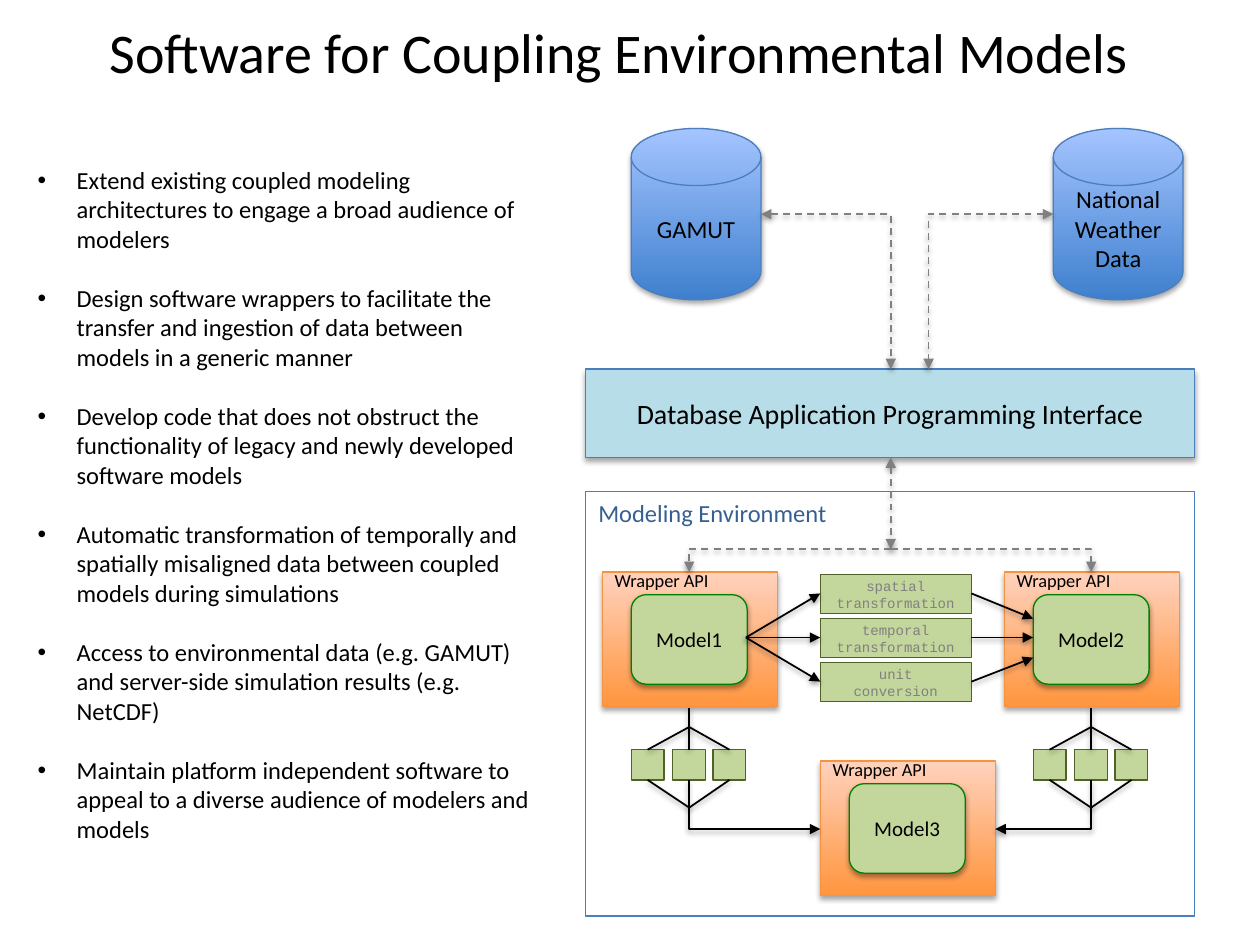
import pptx
import pptx.util
import pptx.dml.color
import pptx.enum.dml
import pptx.enum.shapes
import pptx.enum.text
import pptx.oxml.ns
from lxml import etree

Inches, Pt = pptx.util.Inches, pptx.util.Pt
SHAPE = pptx.enum.shapes.MSO_SHAPE
CONNECTOR = pptx.enum.shapes.MSO_CONNECTOR
ALIGN = pptx.enum.text.PP_ALIGN
ANCHOR = pptx.enum.text.MSO_ANCHOR
qn = pptx.oxml.ns.qn

COLORS = {
    "black": "000000", "gray": "808080", "navy": "376092", "blue": "4B7EBC",
    "sky": "B7DEE8", "green": "C3D69B", "green_line": "008000", "olive": "4F6228",
    "orange": "FF953E", "peach": "FFD2BD", "orange_line": "F69240",
    "disk_dark": "3F80CE", "disk_light": "A4C4FF",
}
BULLETS = [
    "Extend existing coupled modeling architectures to engage a broad audience of modelers",
    "Design software wrappers to facilitate the transfer and ingestion of data between "
    "models in a generic manner",
    "Develop code that does not obstruct the functionality of legacy and newly developed "
    "software models",
    "Automatic transformation of temporally and spatially misaligned data between coupled "
    "models during simulations",
    "Access to environmental data (e.g. GAMUT) and server-side simulation results (e.g. NetCDF)",
    "Maintain platform independent software to appeal to a diverse audience of modelers and models",
]


def rgb(name):
    return pptx.dml.color.RGBColor.from_string(COLORS[name])


def write_text(frame, text, size=14, color="black", font="Calibri", align=ALIGN.CENTER,
               anchor=ANCHOR.MIDDLE, spacing=None, gap=0, bullet=None):
    """Fill a text frame, one paragraph for each line of text."""
    frame.word_wrap = True
    frame.vertical_anchor = anchor
    for index, line in enumerate(text.split("\n")):
        para = frame.paragraphs[0] if index == 0 else frame.add_paragraph()
        para.alignment = align
        if spacing:
            para.line_spacing = spacing
        if gap and index:
            para.space_before = Pt(gap)
        if bullet:
            props = para._p.get_or_add_pPr()
            props.set("marL", str(Inches(0.31)))
            props.set("indent", str(-Inches(0.31)))
            etree.SubElement(props, qn("a:buFont"), typeface="Arial")
            etree.SubElement(props, qn("a:buChar"), char=bullet)
        span = para.add_run()
        span.text = line
        span.font.name = font
        span.font.size = Pt(size)
        span.font.color.rgb = rgb(color)


def add_shadow(effects, distance, opacity):
    """Put a soft black shadow, falling straight down, in an effect list."""
    shadow = etree.SubElement(effects, qn("a:outerShdw"), blurRad=str(Pt(3.1)),
                              dist=str(Pt(distance)), dir="5400000", rotWithShape="0")
    black = etree.SubElement(shadow, qn("a:srgbClr"), val=COLORS["black"])
    etree.SubElement(black, qn("a:alpha"), val=str(opacity * 1000))


class Diagram:
    def __init__(self, slide):
        self.slide = slide

    def text(self, left, top, width, height, text, **style):
        box = self.slide.shapes.add_textbox(
            Inches(left), Inches(top), Inches(width), Inches(height))
        write_text(box.text_frame, text, anchor=ANCHOR.TOP, **style)

    def shape(self, kind, left, top, width, height, fill=None, line="blue",
              shadow=True, text=None, **style):
        """Draw a preset shape; fill is a colour, a (bottom, top) pair or None."""
        shape = self.slide.shapes.add_shape(
            kind, Inches(left), Inches(top), Inches(width), Inches(height))
        if fill is None:
            shape.fill.background()
        elif isinstance(fill, tuple):
            shape.fill.gradient()
            shape.fill.gradient_angle = 90
            for stop, name in zip(shape.fill.gradient_stops, fill):
                stop.color.rgb = rgb(name)
        else:
            shape.fill.solid()
            shape.fill.fore_color.rgb = rgb(fill)
        shape.line.color.rgb = rgb(line)
        shape.line.width = Pt(0.75)
        shape.shadow.inherit = False
        if shadow:
            add_shadow(shape._element.spPr.find(qn("a:effectLst")), 1.8, 35)
        if text:
            write_text(shape.text_frame, text, **style)

    def connector(self, start, end, color="black", dash=False, head=False, tail=False,
                  bent=False):
        """Draw a line; a bent one runs across first and then up or down."""
        kind = CONNECTOR.ELBOW if bent else CONNECTOR.STRAIGHT
        line = self.slide.shapes.add_connector(
            kind, *(Inches(value) for value in (*start, *end)))
        props = line._element.spPr
        if bent:
            props.find(qn("a:prstGeom")).set("prst", "bentConnector2")
        line.line.color.rgb = rgb(color)
        line.line.width = Pt(1)
        if dash:
            line.line.dash_style = pptx.enum.dml.MSO_LINE.DASH
        for tag, wanted in (("a:headEnd", head), ("a:tailEnd", tail)):
            if wanted:
                etree.SubElement(props.find(qn("a:ln")), qn(tag), type="triangle")
        add_shadow(etree.SubElement(props, qn("a:effectLst")), 1.6, 38)

    def model(self, name, left, top):
        """Draw a model inside its wrapper."""
        self.shape(SHAPE.RECTANGLE, left, top, 1.39, 1.07, ("orange", "peach"), "orange_line",
                   text="Wrapper API", size=10.5, align=ALIGN.LEFT, anchor=ANCHOR.TOP,
                   spacing=0.5)
        self.shape(SHAPE.ROUNDED_RECTANGLE, left + 0.23, top + 0.18, 0.92, 0.71, "green",
                   "green_line", text=name, size=12)

    def process(self, left, top, width, height, text=None):
        self.shape(SHAPE.FLOWCHART_PROCESS, left, top, width, height, "green", "olive",
                   shadow=False, text=text, size=8, color="gray", font="Courier New")

    def fan(self, center, target):
        """Draw three parallel steps below a wrapper, joined into one arrow to target."""
        for offset in (-0.33, 0, 0.32):
            middle = center + offset
            self.process(middle - 0.13, 5.95, 0.26, 0.24)
            self.connector((center, 5.77 if offset else 5.62), (middle, 5.95))
            if offset:
                self.connector((middle, 6.19), (center, 6.41))
        self.connector((target, 6.58), (center, 6.19), head=True, bent=True)


def main():
    deck = pptx.Presentation()
    deck.slide_width, deck.slide_height = Inches(10), Inches(7.5)
    diagram = Diagram(deck.slides.add_slide(deck.slide_layouts[6]))

    diagram.text(0, 0.09, 9.83, 0.64, "Software for Coupling Environmental Models", size=32)
    diagram.text(0.2, 1.26, 4.15, 5.52, "\n".join(BULLETS), align=ALIGN.LEFT, gap=17, bullet="•")

    for left, text in ((5.01, "GAMUT"), (8.36, "National Weather\nData")):
        diagram.shape(SHAPE.FLOWCHART_MAGNETIC_DISK, left, 1.02, 1.03, 1.36,
                      ("disk_dark", "disk_light"), text=text)
    diagram.shape(SHAPE.RECTANGLE, 4.65, 2.93, 4.83, 0.7, "sky", size=16,
                  text="Database Application Programming Interface")
    diagram.shape(SHAPE.RECTANGLE, 4.65, 3.9, 4.83, 3.37, shadow=False,
                  text="Modeling Environment", color="navy", align=ALIGN.LEFT, anchor=ANCHOR.TOP)

    for name, left, top in (("Model1", 4.78, 4.54), ("Model2", 7.97, 4.54),
                            ("Model3", 6.51, 6.04)):
        diagram.model(name, left, top)

    data_flow = {"color": "gray", "dash": True, "tail": True}
    for side, middle in ((6.04, 7.07), (8.36, 7.37)):
        diagram.connector((side, 1.7), (middle, 2.93), head=True, bent=True, **data_flow)
    diagram.connector((7.07, 3.63), (7.07, 4.36), head=True, **data_flow)
    for center in (5.47, 8.66):
        diagram.connector((7.07, 4.36), (center, 4.54), bent=True, **data_flow)

    steps = ("spatial\ntransformation", "temporal\ntransformation", "unit\nconversion")
    for index, (step, arrival) in enumerate(zip(steps, (4.91, 5.06, 5.22))):
        middle = 4.71 + 0.35 * index
        diagram.process(6.51, middle - 0.15, 1.2, 0.31, step)
        diagram.connector((5.92, 5.06), (6.51, middle), tail=True)
        diagram.connector((7.71, middle), (8.2, arrival), tail=True)

    for center, target in ((5.47, 6.51), (8.66, 7.9)):
        diagram.fan(center, target)

    deck.save("out.pptx")


if __name__ == "__main__":
    main()
